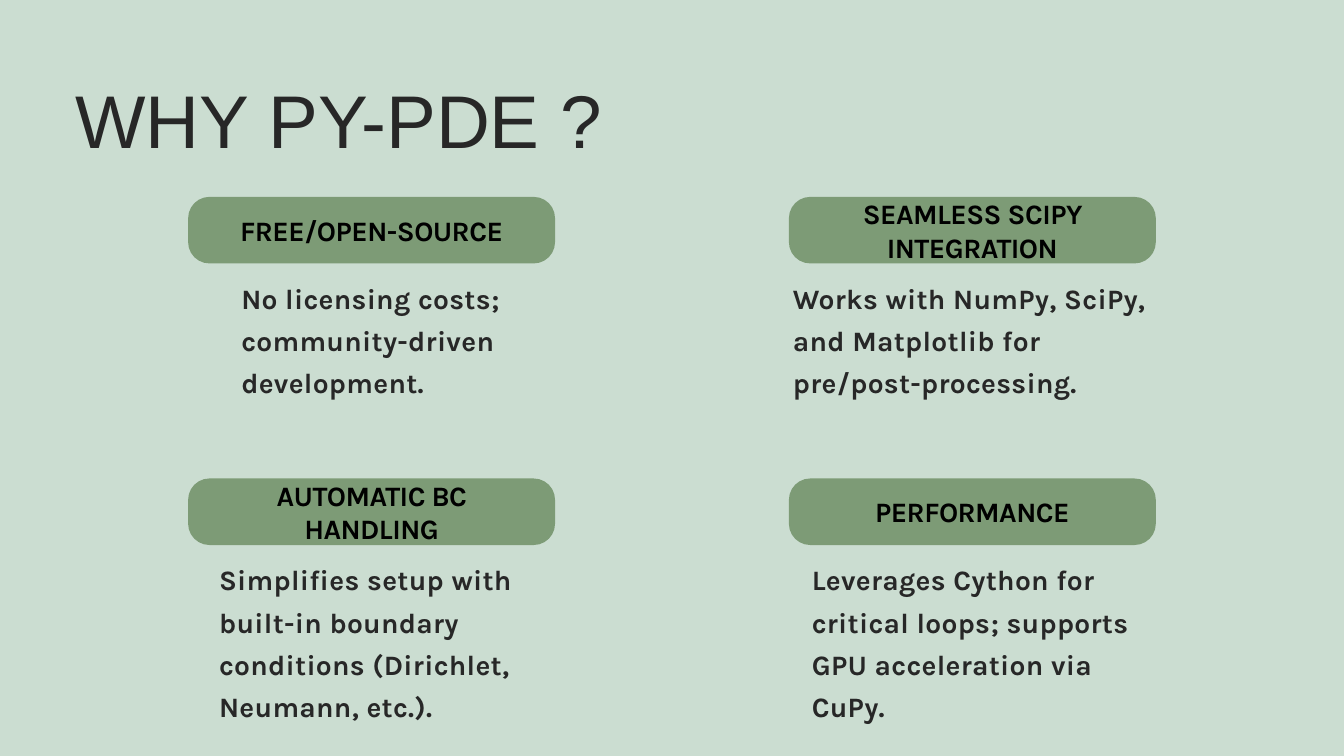
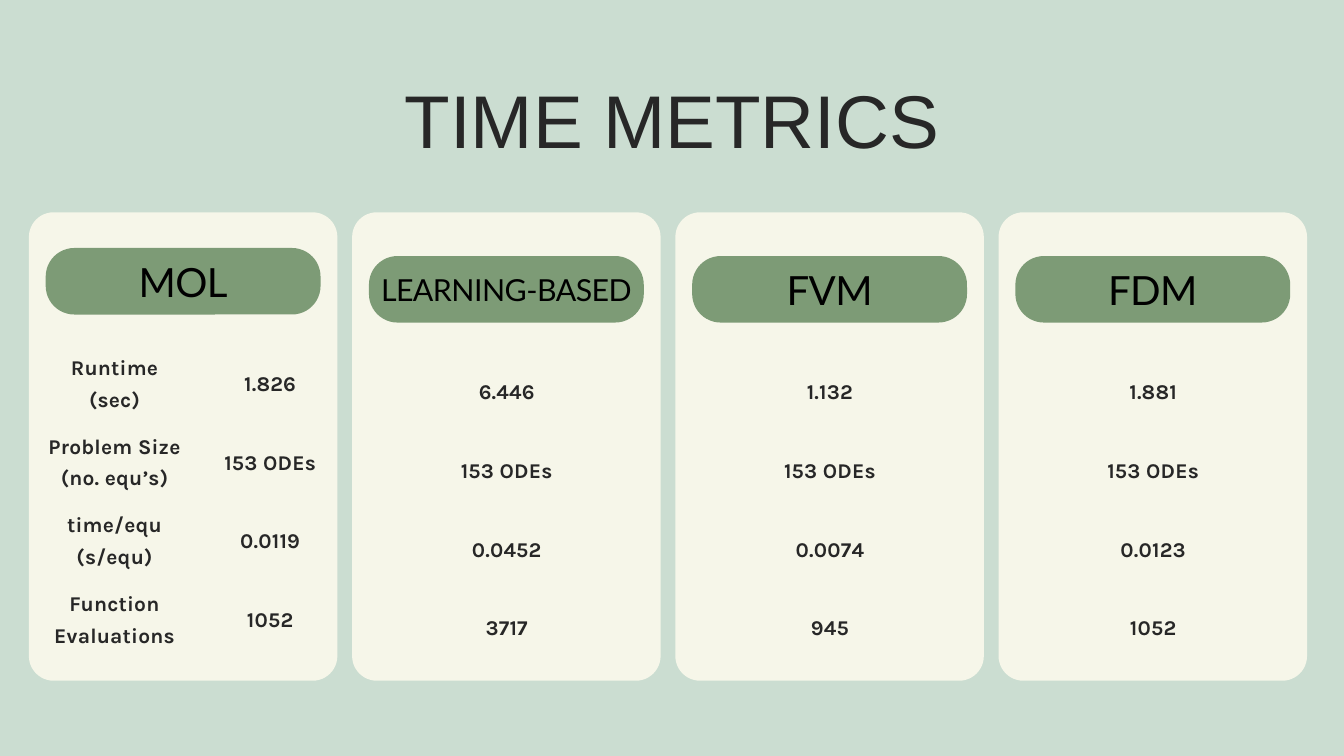
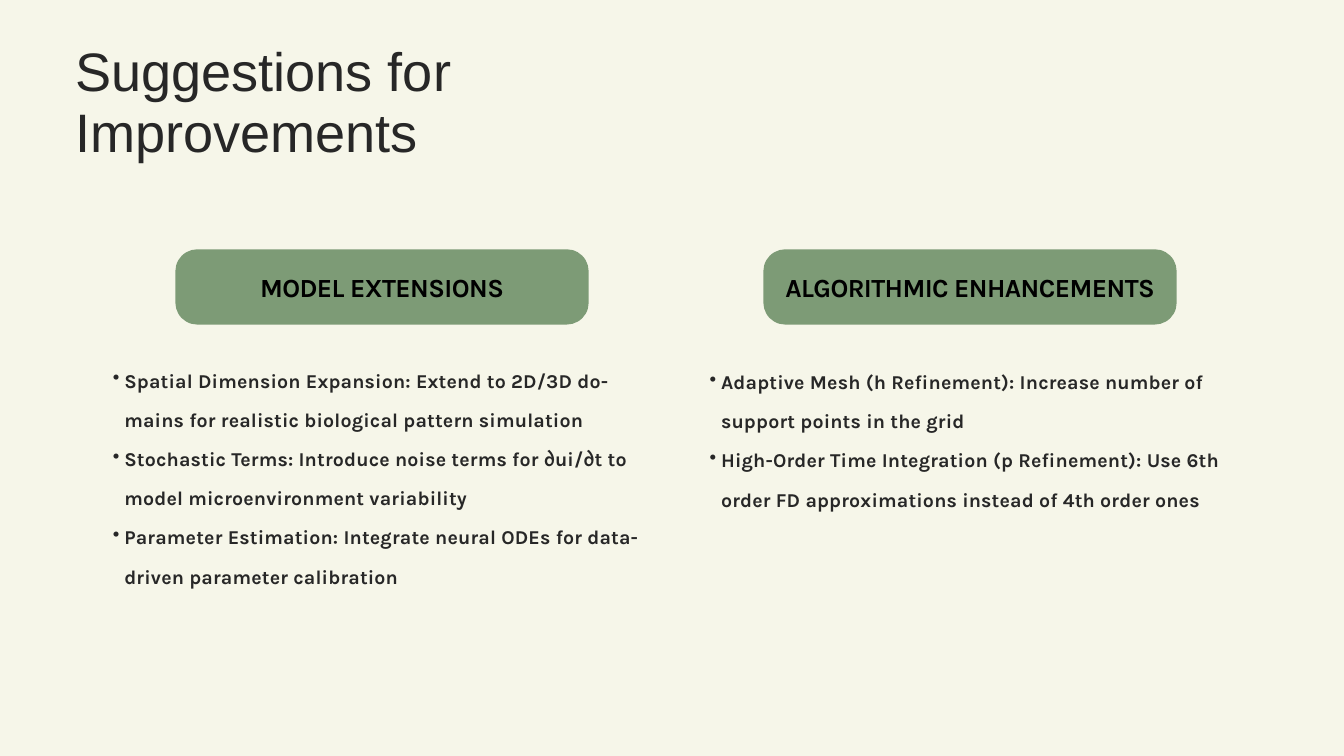
"""Builds three slides on py-pde: its strengths, time metrics and improvements."""
from lxml.etree import SubElement
from pptx import Presentation
from pptx.dml.color import RGBColor
from pptx.enum.shapes import MSO_SHAPE
from pptx.enum.text import MSO_ANCHOR, MSO_AUTO_SIZE, PP_ALIGN
from pptx.oxml.ns import qn
from pptx.util import Inches, Pt

MINT, CREAM, GREEN = "CBDDD1", "F6F6E9", "7D9B76"
INK, BLACK = "272727", "000000"
LEFT, CENTER = PP_ALIGN.LEFT, PP_ALIGN.CENTER

PILL = {"font": "Karla", "bold": True, "color": BLACK, "spacing": -0.6,
        "align": CENTER, "anchor": MSO_ANCHOR.MIDDLE}
METHOD = {**PILL, "font": "Lato", "bold": False}
BODY = {"size": 30.1, "line": 45.5, "spacing": 0.3}
METRIC = {"size": 22.5, "line": 34, "align": CENTER}


def write(shape, paragraphs, size, line, font="Karla", bold=True, color=INK, spacing=0.2,
          align=LEFT, anchor=MSO_ANCHOR.TOP, side=0, bullet=False):
    frame = shape.text_frame
    frame.word_wrap = True
    frame.auto_size = MSO_AUTO_SIZE.NONE
    frame.vertical_anchor = anchor
    frame.margin_left = frame.margin_right = Inches(side)
    frame.margin_top = frame.margin_bottom = 0
    for index, text in enumerate(paragraphs):
        paragraph = frame.add_paragraph() if index else frame.paragraphs[0]
        paragraph.text = text
        paragraph.alignment = align
        paragraph.line_spacing = Pt(line)
        if bullet:
            properties = paragraph._p.get_or_add_pPr()
            properties.set("marL", str(Inches(0.17)))
            properties.set("indent", str(Inches(-0.17)))
            SubElement(properties, qn("a:buChar"), char="•")
        paragraph.font.name = font
        paragraph.font.size = Pt(size)
        paragraph.font.bold = bold
        paragraph.font.color.rgb = RGBColor.from_string(color)
        paragraph.font._element.set("spc", str(round(spacing * 100)))


def add_panel(slide, place, fill, corner):
    shape = slide.shapes.add_shape(MSO_SHAPE.ROUNDED_RECTANGLE, *map(Inches, place))
    shape.adjustments[0] = corner
    shape.shadow.inherit = False
    shape.fill.solid()
    shape.fill.fore_color.rgb = RGBColor.from_string(fill)
    shape.line.fill.background()
    return shape


presentation = Presentation()
presentation.slide_width = Inches(20)
presentation.slide_height = Inches(11.25)

titles = [
    ("WHY PY-PDE ?", MINT, (1.12, 1.16, 8.56, 1.3), 80, 91.2, LEFT),
    ("TIME METRICS", MINT, (3.77, 1.16, 12.47, 1.3), 80, 91.2, CENTER),
    ("Suggestions for Improvements", CREAM, (1.12, 0.6, 7.18, 1.86), 58, 66.1, LEFT),
]
for text, background, place, size, line, align in titles:
    slide = presentation.slides.add_slide(presentation.slide_layouts[5])
    slide.background.fill.solid()
    slide.background.fill.fore_color.rgb = RGBColor.from_string(background)
    title = slide.shapes.title
    title.left, title.top, title.width, title.height = map(Inches, place)
    write(title, [text], size, line, font="Arial", bold=False, spacing=0, align=align)
reasons_slide, metrics_slide, improvements_slide = presentation.slides

reasons = [
    ("FREE/OPEN-SOURCE", "No licensing costs; community-driven development.", 3.59, 3.89),
    ("SEAMLESS SCIPY INTEGRATION",
     "Works with NumPy, SciPy, and Matplotlib for pre/post-processing.", 11.8, 5.32),
    ("AUTOMATIC BC HANDLING",
     "Simplifies setup with built-in boundary conditions (Dirichlet, Neumann, etc.).",
     3.26, 4.54),
    ("PERFORMANCE",
     "Leverages Cython for critical loops; supports GPU acceleration via CuPy.", 12.08, 4.78),
]
for index, (heading, text, left, width) in enumerate(reasons):
    row, column = divmod(index, 2)
    top = 2.93 + 4.19 * row
    pill = add_panel(reasons_slide, (2.8 + 8.94 * column, top, 5.46, 0.99), GREEN, 0.32)
    write(pill, [heading], 30.1, 36.1, side=0.27, **PILL)
    place = (left, top + 1.12, width, 1.82 + 0.63 * row)
    write(reasons_slide.shapes.add_textbox(*map(Inches, place)), [text], **BODY)

methods = [
    ("MOL", 43.1, 51.8, 3.69, 2.85, ["1.826", "153 ODEs", "0.0119", "1052"]),
    ("LEARNING-BASED", 32.5, 39, 3.81, 1.56, ["6.446", "153 ODEs", "0.0452", "3717"]),
    ("FVM", 43.1, 51.8, 3.81, 1.56, ["1.132", "153 ODEs", "0.0074", "945"]),
    ("FDM", 43.1, 51.8, 3.81, 1.56, ["1.881", "153 ODEs", "0.0123", "1052"]),
]
for column, (method, size, line, pill_top, value_offset, values) in enumerate(methods):
    card_left = 0.43 + 4.81 * column
    add_panel(metrics_slide, (card_left, 3.16, 4.59, 6.97), CREAM, 0.08)
    pill = add_panel(metrics_slide, (card_left + 0.25, pill_top, 4.09, 0.99), GREEN, 0.43)
    write(pill, [method], size, line, **METHOD)
    for row, value in enumerate(values):
        place = (card_left + value_offset, pill_top + 1.73 + 1.17 * row, 1.48, 0.43)
        write(metrics_slide.shapes.add_textbox(*map(Inches, place)), [value], **METRIC)

labels = [
    ["Runtime", "(sec)"],
    ["Problem Size", "(no. equ’s)"],
    ["time/equ", "(s/equ)"],
    ["Function Evaluations"],
]
for row, label in enumerate(labels):
    place = (0.68, 5.18 + 1.17 * row, 2.05, 0.9)
    write(metrics_slide.shapes.add_textbox(*map(Inches, place)), label, **METRIC)

improvements = [
    ("MODEL EXTENSIONS", 2.61, (1.68, 5.25, 8.01, 3.4), [
        "Spatial Dimension Expansion: Extend to 2D/3D do-\v"
        "mains for realistic biological pattern simulation",
        "Stochastic Terms: Introduce noise terms for ∂ui/∂t to\v"
        "model microenvironment variability",
        "Parameter Estimation: Integrate neural ODEs for data-\v"
        "driven parameter calibration",
    ]),
    ("ALGORITHMIC ENHANCEMENTS", 11.36, (10.56, 5.27, 7.9, 2.23), [
        "Adaptive Mesh (h Refinement): Increase number of\v"
        "support points in the grid",
        "High-Order Time Integration (p Refinement): Use 6th\v"
        "order FD approximations instead of 4th order ones",
    ]),
]
for heading, pill_left, place, points in improvements:
    pill = add_panel(improvements_slide, (pill_left, 3.71, 6.15, 1.12), GREEN, 0.29)
    write(pill, [heading], 28, 33.6, **PILL)
    points_box = improvements_slide.shapes.add_textbox(*map(Inches, place))
    write(points_box, points, 21, 42, bullet=True)

presentation.save("out.pptx")
